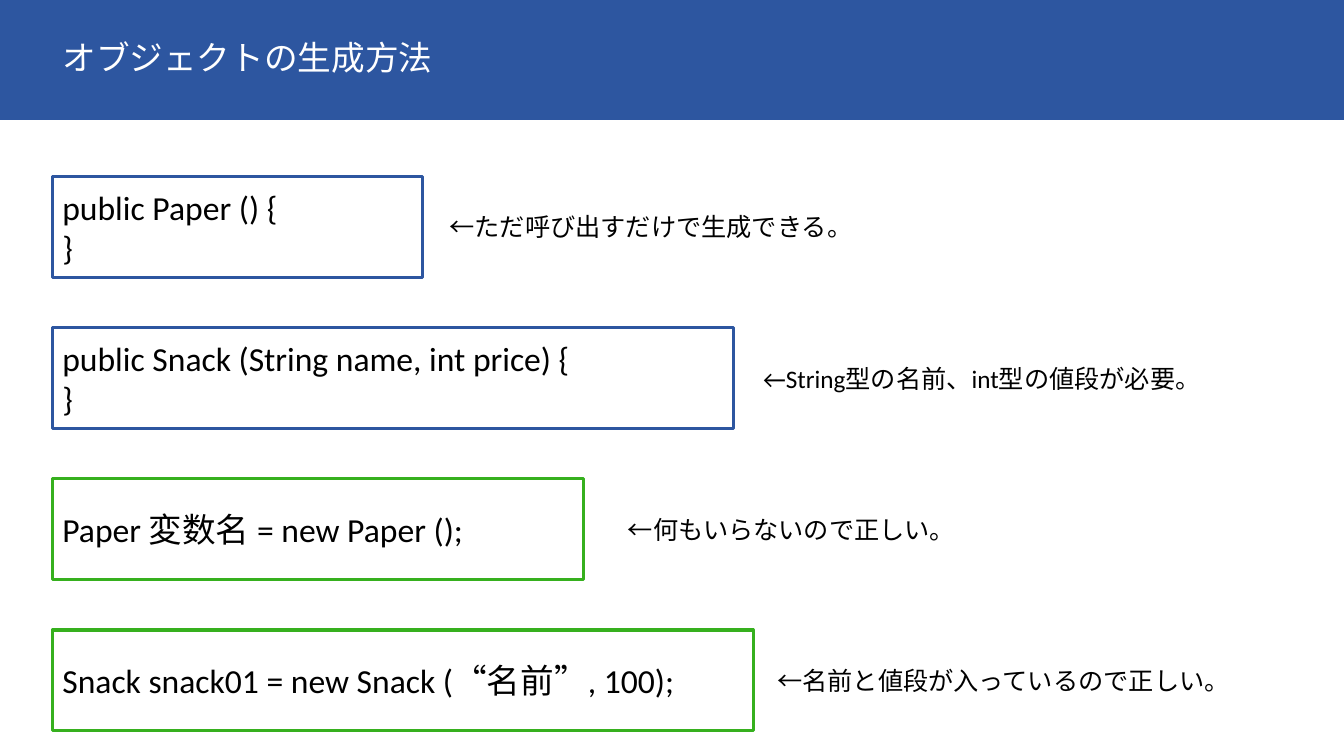
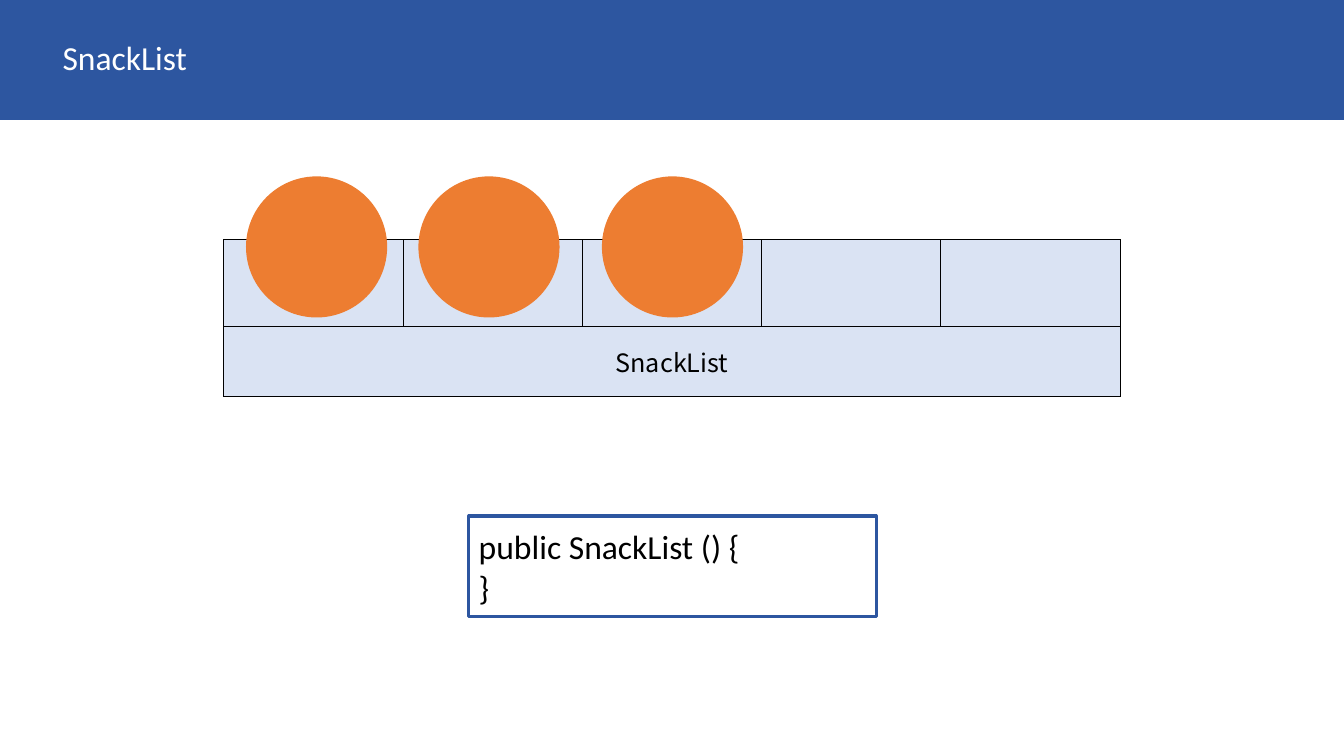
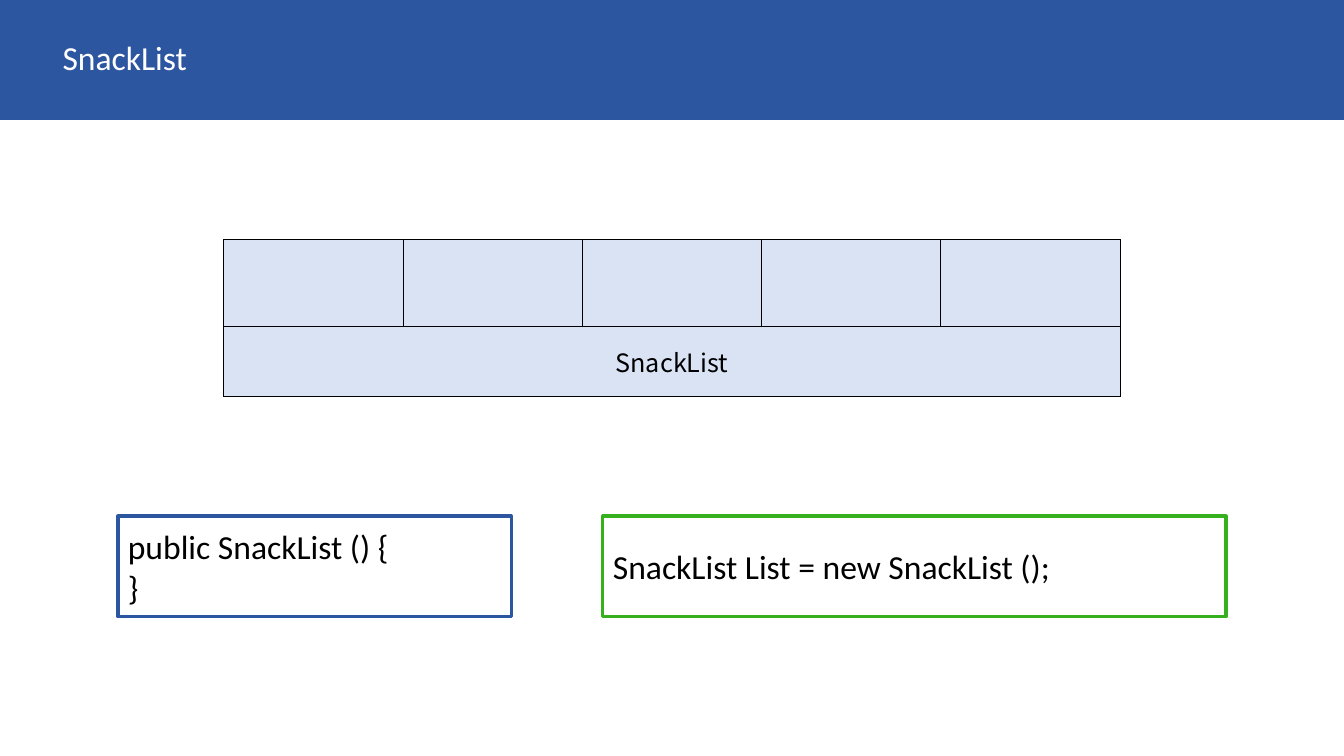
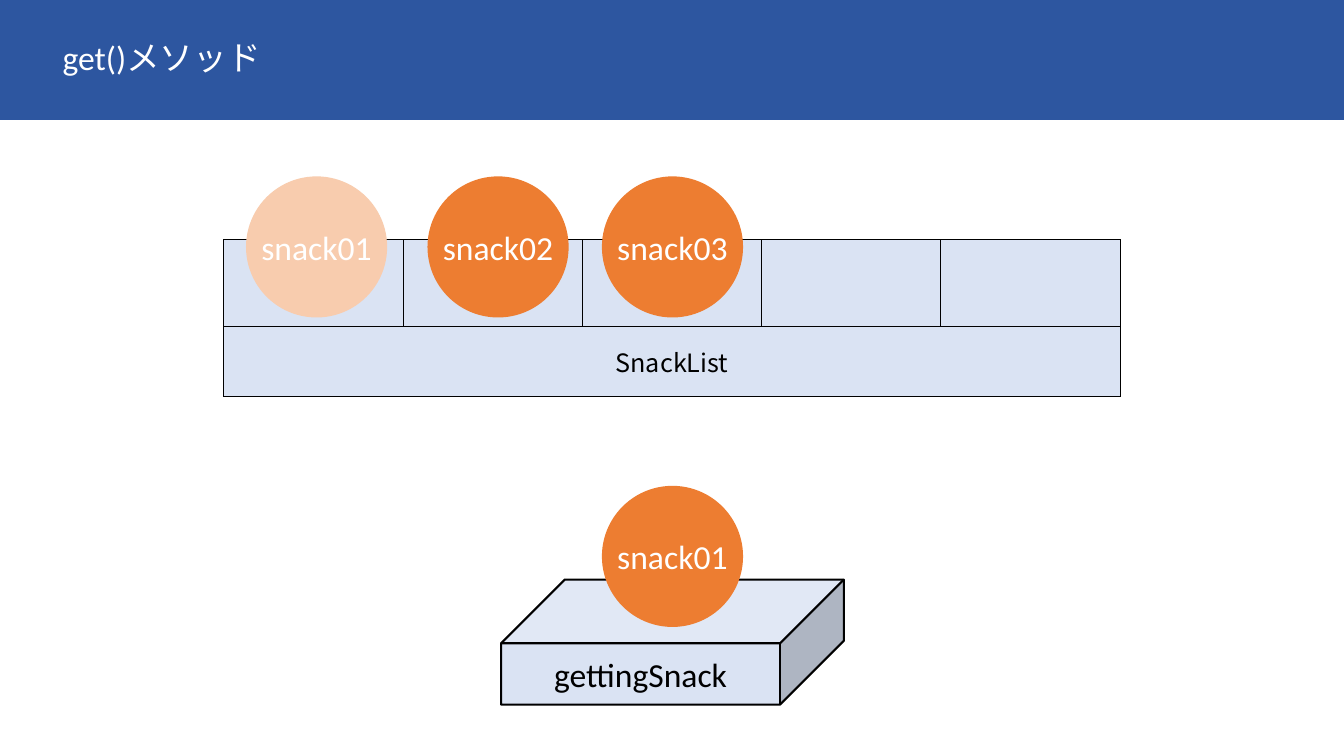
from lxml.etree import SubElement
from pptx import Presentation
from pptx.dml.color import RGBColor
from pptx.enum.shapes import MSO_SHAPE
from pptx.enum.text import MSO_ANCHOR, MSO_AUTO_SIZE, PP_ALIGN
from pptx.oxml.ns import qn
from pptx.util import Inches, Pt

BLUE = RGBColor(0x2D, 0x56, 0xA0)
GREEN = RGBColor(0x36, 0xB0, 0x1E)
ORANGE = RGBColor(0xED, 0x7D, 0x31)
PALE_ORANGE = RGBColor(0xF8, 0xCC, 0xAE)
PALE_BLUE = RGBColor(0xDA, 0xE3, 0xF3)
BLACK = RGBColor(0, 0, 0)
WHITE = RGBColor(0xFF, 0xFF, 0xFF)
LATIN, JAPANESE = "Calibri", "Noto Sans CJK JP"

CONSTRUCTOR = ["public SnackList () {", "}"]
BALL_TOP, BALL_SIZE = 1.75, 1.4


class Deck:
    """Holds the shared style and the current slide."""

    def __init__(self):
        self.prs = Presentation()
        self.prs.slide_width = Inches(13.33)
        self.prs.slide_height = Inches(7.5)

    def add_lines(self, tf, lines, size=24, color=BLACK, align=PP_ALIGN.LEFT, font=LATIN):
        """Fill a text frame, one paragraph a line."""
        for i, line in enumerate(lines):
            p = tf.add_paragraph() if i else tf.paragraphs[0]
            p.alignment = align
            r = p.add_run()
            r.text = line
            r.font.color.rgb = color
            for name, value in {"size": Pt(size), "name": font, "bold": False}.items():
                setattr(r.font, name, value)
            for latin in list(p._p.iter(qn("a:latin"))):
                ea = SubElement(latin.getparent(), qn("a:ea"), typeface=JAPANESE)
                latin.addnext(ea)

    def frame(self, sp, wrap=True):
        """Set up the text frame of a shape and return it."""
        tf = sp.text_frame
        form = {"word_wrap": wrap, "auto_size": MSO_AUTO_SIZE.NONE,
                "vertical_anchor": MSO_ANCHOR.MIDDLE}
        for name, value in form.items():
            setattr(tf, name, value)
        return tf

    def shape(self, kind, x, y, w, h, fill=None, line=None, weight=2.25):
        """Add a preset shape without a shadow."""
        sp = self.s.shapes.add_shape(kind, Inches(x), Inches(y), Inches(w), Inches(h))
        sp.shadow.inherit = False
        if fill is None:
            sp.fill.background()
        else:
            sp.fill.solid()
            sp.fill.fore_color.rgb = fill
        if line is None:
            sp.line.fill.background()
        else:
            sp.line.color.rgb = line
            sp.line.width = Pt(weight)
        return sp

    def slide(self, title):
        """Start a slide with its title on a blue band."""
        self.s = self.prs.slides.add_slide(self.prs.slide_layouts[5])
        band = self.shape(MSO_SHAPE.RECTANGLE, 0, -0.05, 13.33, 1.24, BLUE)
        sp = self.s.shapes.title
        sp.element.addprevious(band.element)
        place = {"left": 0.52, "top": -0.05, "width": 12.48, "height": 1.24}
        for name, value in place.items():
            setattr(sp, name, Inches(value))
        self.add_lines(self.frame(sp), [title], color=WHITE)

    def code(self, x, y, w, lines, color):
        """Add an outlined box of code."""
        sp = self.shape(MSO_SHAPE.RECTANGLE, x, y, w, 1, line=color)
        self.add_lines(self.frame(sp), lines)

    def note(self, x, y, text):
        """Add a remark beside a code box."""
        sp = self.s.shapes.add_textbox(Inches(x), Inches(y), Inches(5.38), Inches(0.4))
        self.add_lines(self.frame(sp), [text], size=18)

    def ball(self, x, y=BALL_TOP, label=None, fill=ORANGE):
        """Add a snack as a disc, with its name if given."""
        sp = self.shape(MSO_SHAPE.OVAL, x, y, BALL_SIZE, BALL_SIZE, fill)
        if label:
            self.add_lines(self.frame(sp, wrap=False), [label], color=WHITE,
                           align=PP_ALIGN.CENTER)

    def tray(self, x, y, w, h, label):
        """Add the cube that receives a snack."""
        sp = self.shape(MSO_SHAPE.CUBE, x, y, w, h, PALE_BLUE, BLACK, 1.5)
        sp.adjustments[0] = 0.51
        self.add_lines(self.frame(sp, wrap=False), [label], align=PP_ALIGN.CENTER)

    def snack_list(self, slots=5):
        """Add the table of slots above a merged name row."""
        table = self.s.shapes.add_table(2, slots, Inches(2.22), Inches(2.38),
                                        Inches(8.89), Inches(1.55)).table
        table.first_row = table.horz_banding = False
        for row, height in zip(table.rows, (0.86, 0.69)):
            row.height = Inches(height)
        for cell in table.iter_cells():
            tcPr = cell._tc.get_or_add_tcPr()
            for side in ("a:lnL", "a:lnR", "a:lnT", "a:lnB"):
                ln = SubElement(tcPr, qn(side), w=str(Pt(1)))
                fill = SubElement(ln, qn("a:solidFill"))
                SubElement(fill, qn("a:srgbClr"), val=str(BLACK))
            cell.fill.solid()
            cell.fill.fore_color.rgb = PALE_BLUE
        name = table.cell(1, 0)
        name.merge(table.cell(1, slots - 1))
        name.vertical_anchor = MSO_ANCHOR.MIDDLE
        self.add_lines(name.text_frame, ["SnackList"], 18, align=PP_ALIGN.CENTER, font=JAPANESE)


def main():
    """Build the four slides."""
    deck = Deck()

    deck.slide("オブジェクトの生成方法")
    rows = [
        (3.67, ["public Paper () {", "}"], BLUE, 4.36, "←ただ呼び出すだけで生成できる。"),
        (6.76, ["public Snack (String name, int price) {", "}"], BLUE,
         7.47, "←String型の名前、int型の値段が必要。"),
        (5.27, ["Paper 変数名 = new Paper ();"], GREEN, 6.13, "←何もいらないので正しい。"),
        (6.95, ["Snack snack01 = new Snack (“名前”, 100);"], GREEN,
         7.61, "←名前と値段が入っているので正しい。"),
    ]
    for i, (width, lines, color, note_x, note) in enumerate(rows):
        y = 1.75 + 1.5 * i
        deck.code(0.52, y, width, lines, color)
        deck.note(note_x, y + 0.3, note)

    deck.slide("SnackList")
    deck.snack_list()
    for x in (2.44, 4.15, 5.97):
        deck.ball(x)
    deck.code(4.65, 5.12, 4.04, CONSTRUCTOR, BLUE)

    deck.slide("SnackList")
    deck.snack_list()
    deck.code(1.17, 5.12, 3.9, CONSTRUCTOR, BLUE)
    deck.code(5.98, 5.12, 6.18, ["SnackList List = new SnackList ();"], GREEN)

    deck.slide("get()メソッド")
    deck.snack_list()
    deck.ball(2.44, label="snack01", fill=PALE_ORANGE)
    deck.ball(4.24, label="snack02")
    deck.ball(5.97, label="snack03")
    deck.tray(4.97, 5.75, 3.4, 1.24, "gettingSnack")
    deck.ball(5.97, 4.82, "snack01")

    deck.prs.save("out.pptx")


if __name__ == "__main__":
    main()
